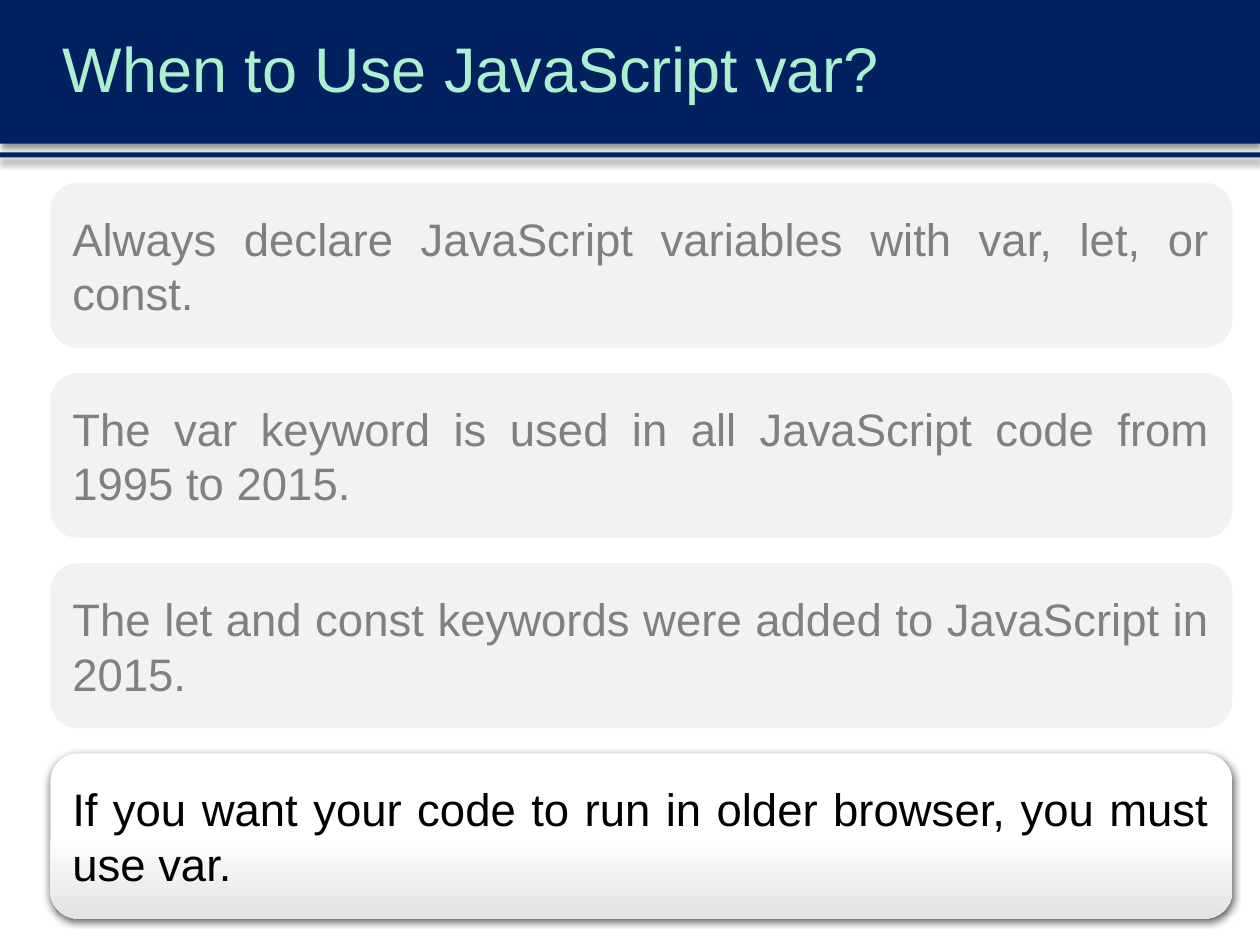
from dataclasses import dataclass
from typing import Optional

from lxml import etree
from pptx import Presentation
from pptx import util as u
from pptx.dml.color import RGBColor
from pptx.enum import shapes, text
from pptx.oxml import ns

COLORS = {
    "navy": "002060",
    "mint": "ABF1CF",
    "panel": "F2F2F2",
    "muted": "808080",
    "white": "FFFFFF",
    "silver": "E3E3E3",
    "black": "000000",
}
FONT = "Arial"


@dataclass(frozen=True)
class Shadow:
    opacity: int
    blur: float
    distance: float


@dataclass(frozen=True)
class Band:
    top: float
    height: float


@dataclass(frozen=True)
class Point:
    wording: str
    highlighted: bool = False


BAND_SHADOW = Shadow(40, 4, 3)
PANEL_SHADOW = Shadow(63, 4.5, 1.5)
BANDS = [Band(0, 1.14), Band(1.21, 0.04)]
POINTS = [
    Point("Always declare JavaScript variables with var, let, or const."),
    Point("The var keyword is used in all JavaScript code from 1995 to 2015."),
    Point("The let and const keywords were added to JavaScript in 2015."),
    Point("If you want your code to run in older browser, you must use var.", True),
]
PANEL_TOP, PANEL_HEIGHT, PANEL_PITCH = 1.45, 1.31, 1.51


def color(name: str) -> RGBColor:
    return RGBColor.from_string(COLORS[name])


def set_shadow(shape, shadow: Optional[Shadow]) -> None:
    shape.shadow.inherit = False
    if shadow is None:
        return
    effects = shape._element.spPr.find(ns.qn("a:effectLst"))
    outer = etree.SubElement(
        effects,
        ns.qn("a:outerShdw"),
        blurRad=str(u.Pt(shadow.blur)),
        dist=str(u.Pt(shadow.distance)),
        dir="5400000",
        rotWithShape="0",
    )
    tone = etree.SubElement(outer, ns.qn("a:srgbClr"), val=COLORS["black"])
    etree.SubElement(tone, ns.qn("a:alpha"), val=str(shadow.opacity * 1000))


def write(frame, wording: str, size: float, tone: str):
    frame.word_wrap = True
    frame.vertical_anchor = text.MSO_ANCHOR.MIDDLE
    frame.text = wording
    paragraph = frame.paragraphs[0]
    font = paragraph.runs[0].font
    font.name = FONT
    font.size = u.Pt(size)
    font.color.rgb = color(tone)
    return paragraph


def draw_band(slide, band: Band) -> None:
    bar = slide.shapes.add_shape(
        shapes.MSO_SHAPE.RECTANGLE,
        0, u.Inches(band.top), u.Inches(10), u.Inches(band.height),
    )
    bar.fill.solid()
    bar.fill.fore_color.rgb = color("navy")
    bar.line.fill.background()
    set_shadow(bar, BAND_SHADOW)


def draw_title(slide, wording: str) -> None:
    title = slide.shapes.add_textbox(
        u.Inches(0.4), 0, u.Inches(9.6), u.Inches(1.14)
    )
    paragraph = write(title.text_frame, wording, 36, "mint")
    paragraph.line_spacing = 0.9
    paragraph.space_after = u.Pt(6)


def draw_point(slide, point: Point, top: float) -> None:
    panel = slide.shapes.add_shape(
        shapes.MSO_SHAPE.ROUNDED_RECTANGLE,
        u.Inches(0.4), u.Inches(top), u.Inches(9.38), u.Inches(PANEL_HEIGHT),
    )
    if point.highlighted:
        panel.fill.gradient()
        panel.fill.gradient_angle = 270
        stops = [(0.5, "white"), (1, "silver")]
        for stop, (position, tone) in zip(panel.fill.gradient_stops, stops):
            stop.position = position
            stop.color.rgb = color(tone)
    else:
        panel.fill.solid()
        panel.fill.fore_color.rgb = color("panel")
    panel.line.fill.background()
    set_shadow(panel, PANEL_SHADOW if point.highlighted else None)

    frame = panel.text_frame
    frame.margin_left = frame.margin_right = u.Inches(0.11)
    frame.margin_top = frame.margin_bottom = u.Inches(0.11)
    tone = "black" if point.highlighted else "muted"
    write(frame, point.wording, 26, tone).alignment = text.PP_ALIGN.JUSTIFY


def main() -> None:
    deck = Presentation()
    deck.slide_width = u.Inches(10)
    deck.slide_height = u.Inches(7.5)
    slide = deck.slides.add_slide(deck.slide_layouts[6])
    for band in BANDS:
        draw_band(slide, band)
    draw_title(slide, "When to Use JavaScript var?")
    for row, point in enumerate(POINTS):
        draw_point(slide, point, PANEL_TOP + row * PANEL_PITCH)
    deck.save("out.pptx")


if __name__ == "__main__":
    main()
